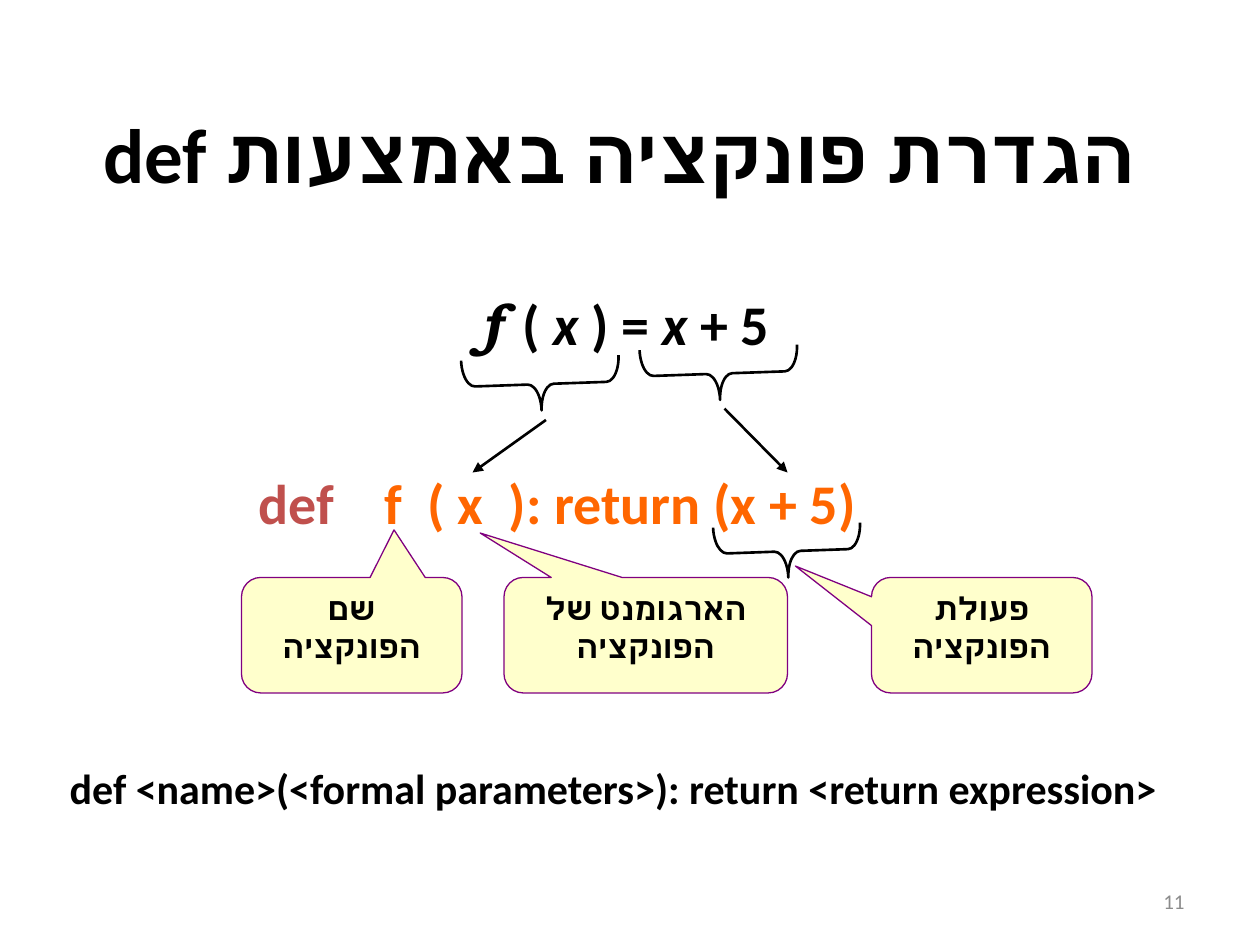
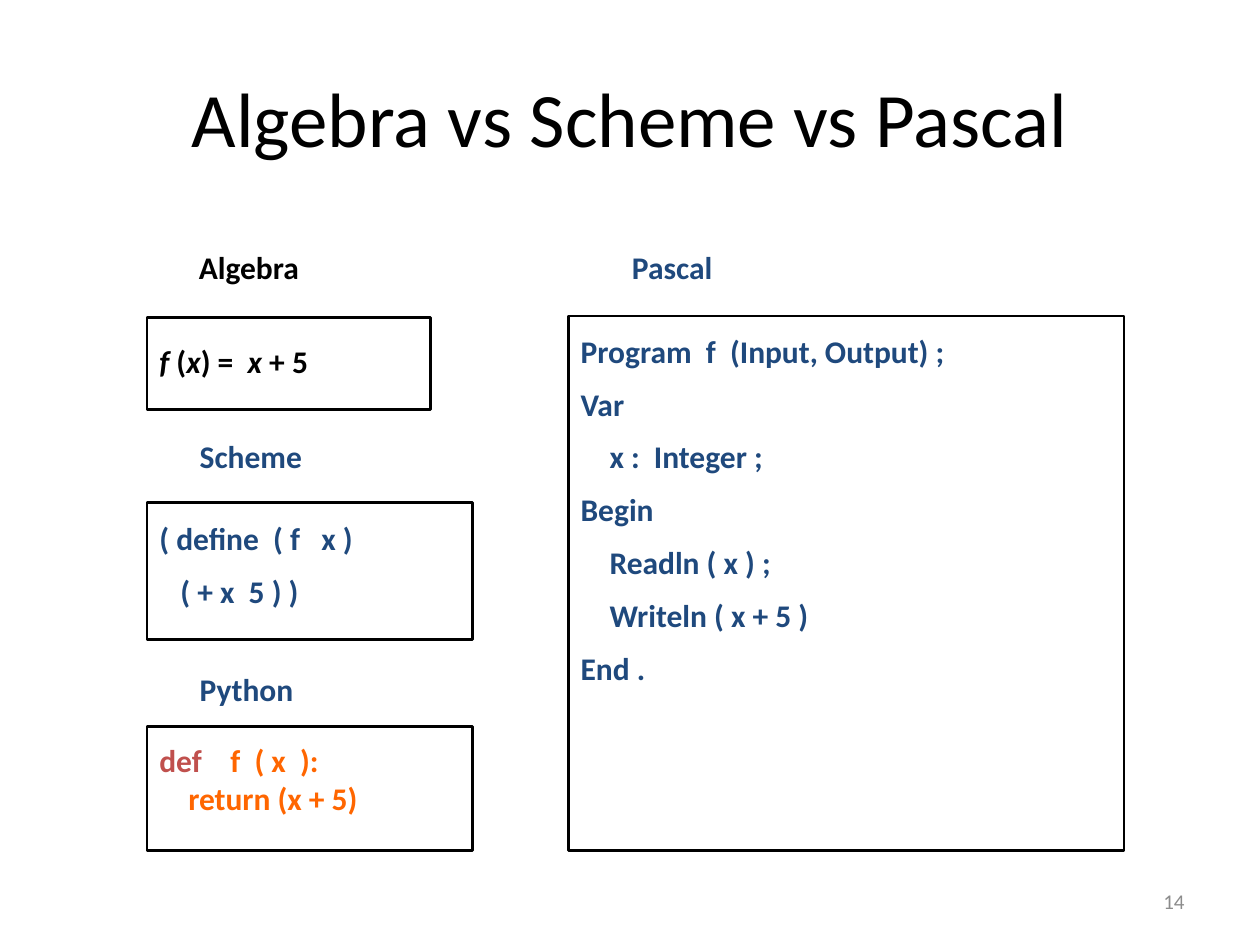
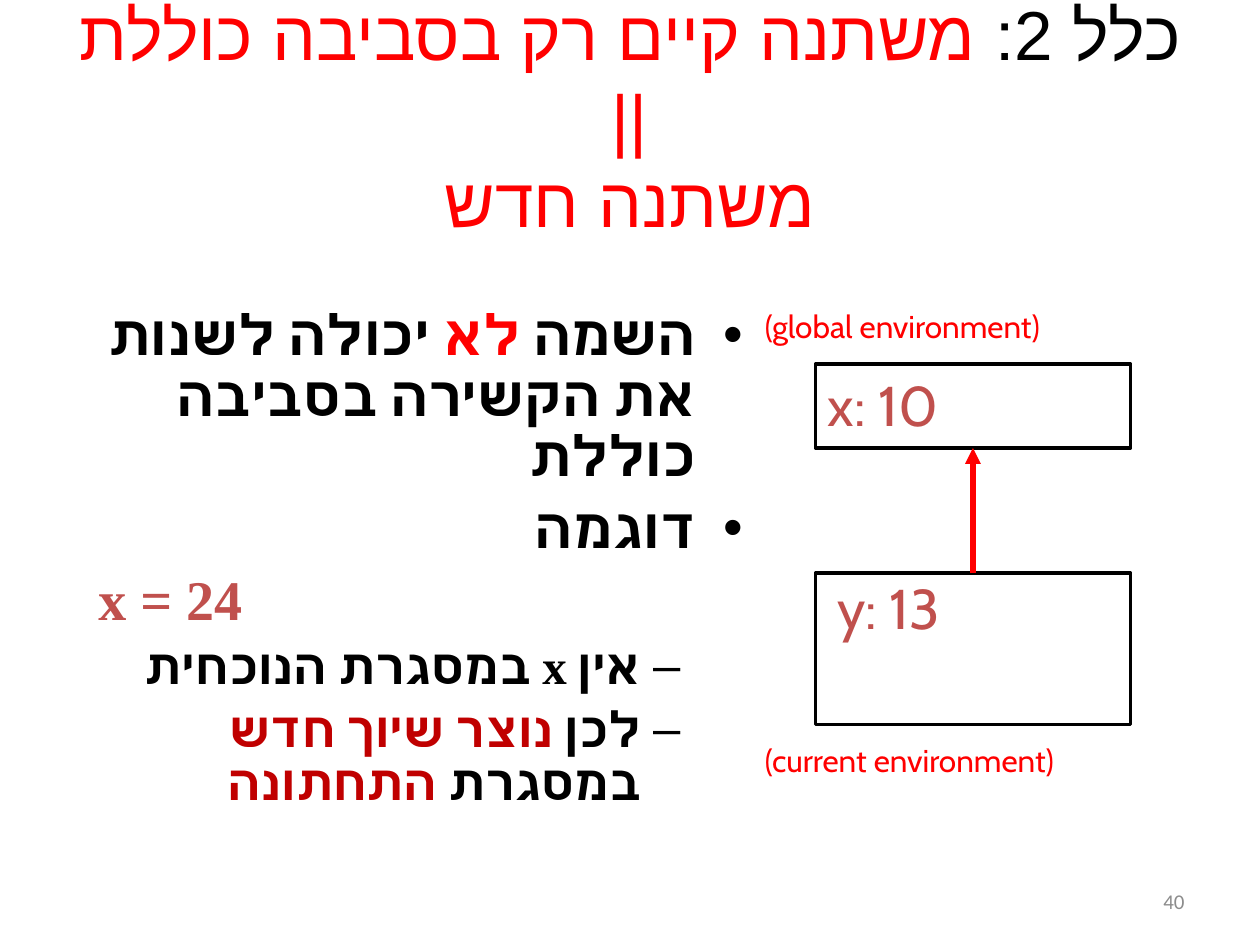
from dataclasses import dataclass

from lxml import etree
from pptx import Presentation
from pptx.dml.color import RGBColor
from pptx.enum import shapes, text
from pptx.oxml import ns
from pptx.util import Pt

BLACK, GREY, NAVY = "000000", "8C8C8C", "1F497D"
BRICK, ORANGE, RED, DARK_RED = "C0504D", "FF6600", "FF0000", "C00000"
CREAM, PURPLE = "FFFFCC", "800080"
LEFT, CENTER, RIGHT = text.PP_ALIGN.LEFT, text.PP_ALIGN.CENTER, text.PP_ALIGN.RIGHT
TOP, MIDDLE = text.MSO_ANCHOR.TOP, text.MSO_ANCHOR.MIDDLE
SHAPE = shapes.MSO_SHAPE


def rgb(value):
    return RGBColor.from_string(value)


def sub(parent, tag, **attrs):
    return etree.SubElement(parent, ns.qn(tag), attrs)


def write(p, words, size=18, font="Calibri", color=BLACK, bold=False, italic=False,
          complex_font="Calibri"):
    """Add runs to a paragraph; a newline becomes a line break."""
    for i, line in enumerate(words.split("\n")):
        if i:
            p.add_line_break()
        r = p.add_run()
        r.text = line
        f = r.font
        f.size, f.name, f.bold, f.italic = Pt(size), font, bold, italic
        f.color.rgb = rgb(color)
        sub(r._r.get_or_add_rPr(), "a:cs", typeface=complex_font)


@dataclass
class Para:
    """A paragraph: runs are strings or (string, format) pairs."""
    runs: list
    align: object = LEFT
    rtl: bool = False
    level: int = 0
    bullet: bool = True
    indent: float = None
    line: float = None
    before: float = None


class Deck:
    def __init__(self):
        self.prs = Presentation()
        self.prs.slide_width, self.prs.slide_height = Pt(720), Pt(540)

    def slide(self, number, layout=1):
        self.s = self.prs.slides.add_slide(self.prs.slide_layouts[layout])
        self.text((516, 500.5, 168, 28.5), [Para([str(number)], RIGHT)],
                  anchor=MIDDLE, size=12, color=GREY)

    def fill_text(self, sp, paras, anchor=TOP, wrap=True, **fmt):
        tf = sp.text_frame
        tf.auto_size = text.MSO_AUTO_SIZE.NONE
        tf.word_wrap, tf.vertical_anchor = wrap, anchor
        for i, para in enumerate(paras):
            p = tf.add_paragraph() if i else tf.paragraphs[0]
            p.alignment, p.level = para.align, para.level
            if para.line:
                p.line_spacing = para.line
            if para.before and i:
                p.space_before = Pt(para.before)
            pPr = p._p.get_or_add_pPr()
            if para.rtl:
                pPr.set("rtl", "1")
            if para.indent is not None:
                pPr.set("marL", str(Pt(para.indent)))
                pPr.set("indent", "0")
            if not para.bullet:
                sub(pPr, "a:buNone")
            for run in para.runs:
                words, own = (run, {}) if isinstance(run, str) else run
                write(p, words, **{**fmt, **own})

    def place(self, sp, box):
        sp.left, sp.top, sp.width, sp.height = (Pt(v) for v in box)
        return sp

    def title(self, runs, box=(36, 21.5, 648, 90), rtl=False, size=44, **fmt):
        self.fill_text(self.place(self.s.shapes.title, box), [Para(runs, CENTER, rtl)],
                       anchor=MIDDLE, size=size, **fmt)

    def body(self, box, paras, **fmt):
        self.fill_text(self.place(self.s.placeholders[1], box), paras, **fmt)

    def text(self, box, paras, **fmt):
        self.fill_text(self.s.shapes.add_textbox(*(Pt(v) for v in box)), paras, **fmt)

    def shape(self, kind, box, line=BLACK, width=1.5, fill=None, adj=(), rotation=0):
        sp = self.s.shapes.add_shape(kind, *(Pt(v) for v in box))
        sp.shadow.inherit = False
        sp.rotation = rotation
        for i, value in enumerate(adj):
            sp.adjustments[i] = value
        if fill:
            sp.fill.solid()
            sp.fill.fore_color.rgb = rgb(fill)
        else:
            sp.fill.background()
        sp.line.color.rgb, sp.line.width = rgb(line), Pt(width)
        return sp

    def brace(self, box):
        self.shape(SHAPE.LEFT_BRACE, box, adj=(0.249, 0.5), rotation=268)

    def callout(self, left, width, tip, words):
        sp = self.shape(SHAPE.ROUNDED_RECTANGULAR_CALLOUT, (left, 330, width, 66),
                        line=PURPLE, width=0.75, fill=CREAM, adj=(*tip, 0.167))
        self.fill_text(sp, [Para([words], CENTER)], bold=True)

    def arrow(self, start, end, color=BLACK, width=1.5):
        c = self.s.shapes.add_connector(shapes.MSO_CONNECTOR.STRAIGHT,
                                        *(Pt(v) for v in (*start, *end)))
        c.line.color.rgb, c.line.width = rgb(color), Pt(width)
        sub(c.line._get_or_add_ln(), "a:tailEnd", type="triangle")
        sub(c._element.spPr, "a:effectLst")


deck = Deck()
italic = {"italic": True}
brick, orange = {"color": BRICK}, {"color": ORANGE}

# Slide 1: anatomy of a function definition
deck.slide(11)
deck.title(["הגדרת פונקציה באמצעות def"], (24, 48, 660, 78), rtl=True, bold=True)
deck.body((36, 162, 642, 258), [Para(
    [("f ", {"font": "TeX Gyre Bonum", "italic": True}), "( ", ("x", italic),
     " ) = ", ("x", italic), " + 5"], CENTER, bullet=False)], size=32, bold=True)
deck.text((126, 264, 400, 46), [Para(
    [("def    ", brick), ("f  ( x  ): return (x + 5)", orange)], indent=14.5)],
    size=32, bold=True)
for box in ((396, 168.5, 30, 90), (294, 174.5, 30, 90), (435, 273, 30, 84)):
    deck.brace(box)
deck.arrow((414, 233.5), (450, 270))
deck.arrow((312, 240), (270, 270))
deck.callout(138, 126, (0.192, -0.912), "שם הפונקציה")
deck.callout(288, 162, (-0.584, -0.885), "הארגומנט של הפונקציה")
deck.callout(498, 126, (-0.845, -0.599), "פעולת הפונקציה")
deck.text((29.5, 432, 642, 36), [Para(
    ["def <name>(<formal parameters>): return <return expression>"], CENTER)],
    wrap=False, size=24, bold=True)

# Slide 2: one function in four notations
deck.slide(14, layout=5)
deck.title(["Algebra vs Scheme vs Pascal"])


def code(*lines):
    """Lines are (indent, words) pairs."""
    return [Para([words], indent=indent, before=8.6) for indent, words in lines]


algebra = [Para([("f ", italic), "(", ("x", italic), ") =  ", ("x", italic), " + 5"])]
scheme = code((0, "( define  ( f   x )"), (12, "( + x  5 ) )"))
python = [Para([("def    ", brick), ("f  ( x  ):", orange)]),
          Para([("return (x + 5)", orange)], indent=16.5)]
pascal = code((0, "Program  f  (Input, Output) ;"), (0, "Var"), (16.5, "x :  Integer ;"),
              (0, "Begin"), (16.5, "Readln ( x ) ;"), (16.5, "Writeln ( x + 5 )"),
              (0, "End ."))
# name, label position, frame, top of the code, code, colour
panels = [
    ("Algebra", (106.5, 138), (84, 181.5, 162, 52.5), 192, algebra, BLACK),
    ("Scheme", (107, 246), (84, 287, 186, 78.5), 293, scheme, NAVY),
    ("Python", (107, 379.5), (84, 415, 186, 71), 420, python, NAVY),
    ("Pascal", (354, 138), (324.75, 180.5, 317.5, 305.5), 186, pascal, NAVY),
]
for name, label, frame, code_top, paras, color in panels:
    left, top, width, height = frame
    deck.shape(SHAPE.RECTANGLE, frame)
    deck.text((*label, 110, 36), [Para([name])], color=color, bold=True)
    deck.text((left, code_top, width + 6, top + height - code_top), paras,
              color=color, bold=True)

# Slide 3: assignment and environments
deck.slide(40)
red, dark_red = {"color": RED}, {"color": DARK_RED}
deck.title(["כלל 2: ", ("משתנה קיים רק בסביבה כוללת\n||\nמשתנה חדש", red)],
           rtl=True, size=39.6, complex_font="Arial")


def item(*runs, level=0):
    return Para(list(runs), RIGHT, rtl=True, level=level, line=0.9)


small = {"size": 28}
deck.body((33, 172, 399, 308), [
    item("השמה", (" לא ", red), "יכולה לשנות את הקשירה בסביבה כוללת"),
    item("דוגמה"),
    Para([("x = 24", brick)], bullet=False, indent=16, line=0.9),
    item(("אין x במסגרת הנוכחית", small), level=1),
    item(("לכן ", small), ("נוצר שיוך חדש ", {**small, **dark_red}),
         ("במסגרת ", small), ("התחתונה", {**small, **dark_red}), level=1),
], size=32, font="Times New Roman", bold=True)

for top, height in ((208, 48), (327.5, 86.5)):
    deck.shape(SHAPE.RECTANGLE, (466, top, 180, height), width=2)
for top, words in ((172, "(global environment)"), (420, "(current environment)")):
    deck.text((430, top, 252, 36), [Para([words])], font="Cabin", color=RED)
for left, top, words in ((466, 208, "x: 10"), (471.5, 324, "y: 13")):
    deck.text((left, top, 168, 45.5), [Para([words])], size=32, font="Cabin", color=BRICK)
deck.arrow((556, 327.5), (556, 256), color=RED, width=3)

deck.prs.save("out.pptx")
